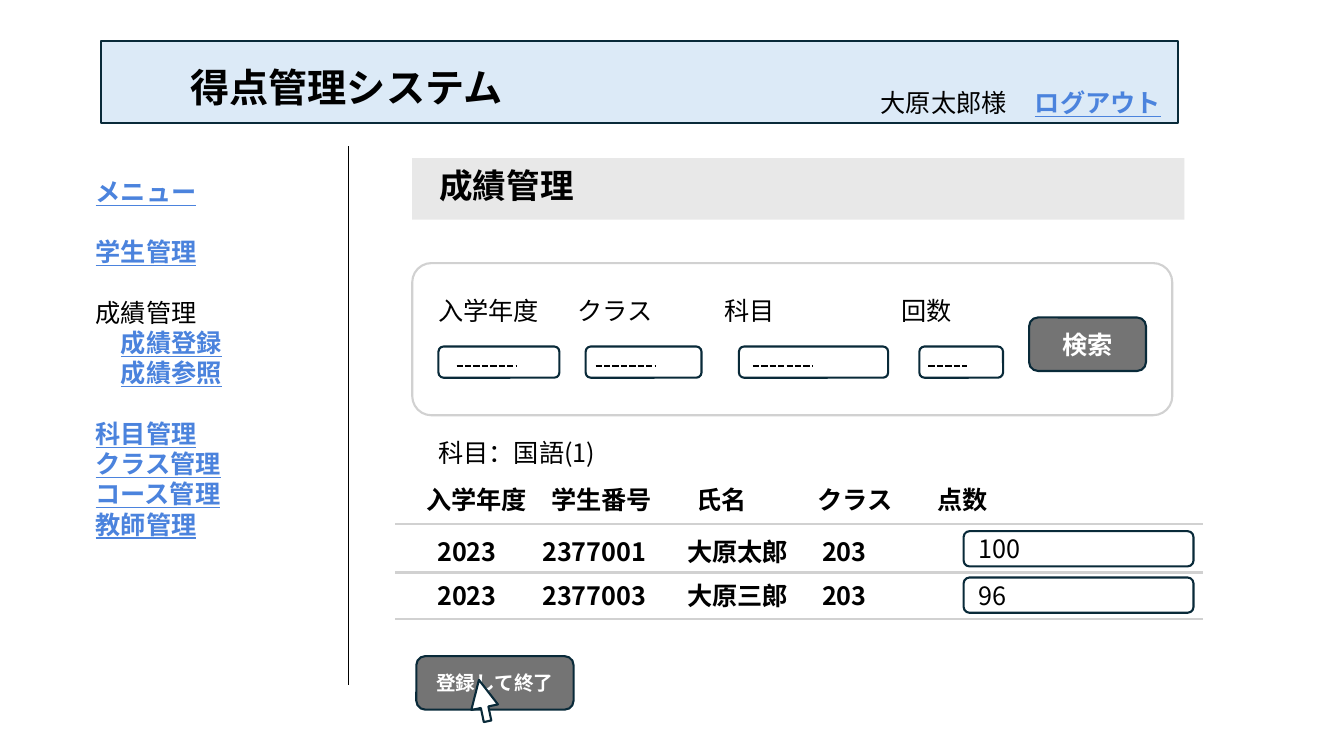
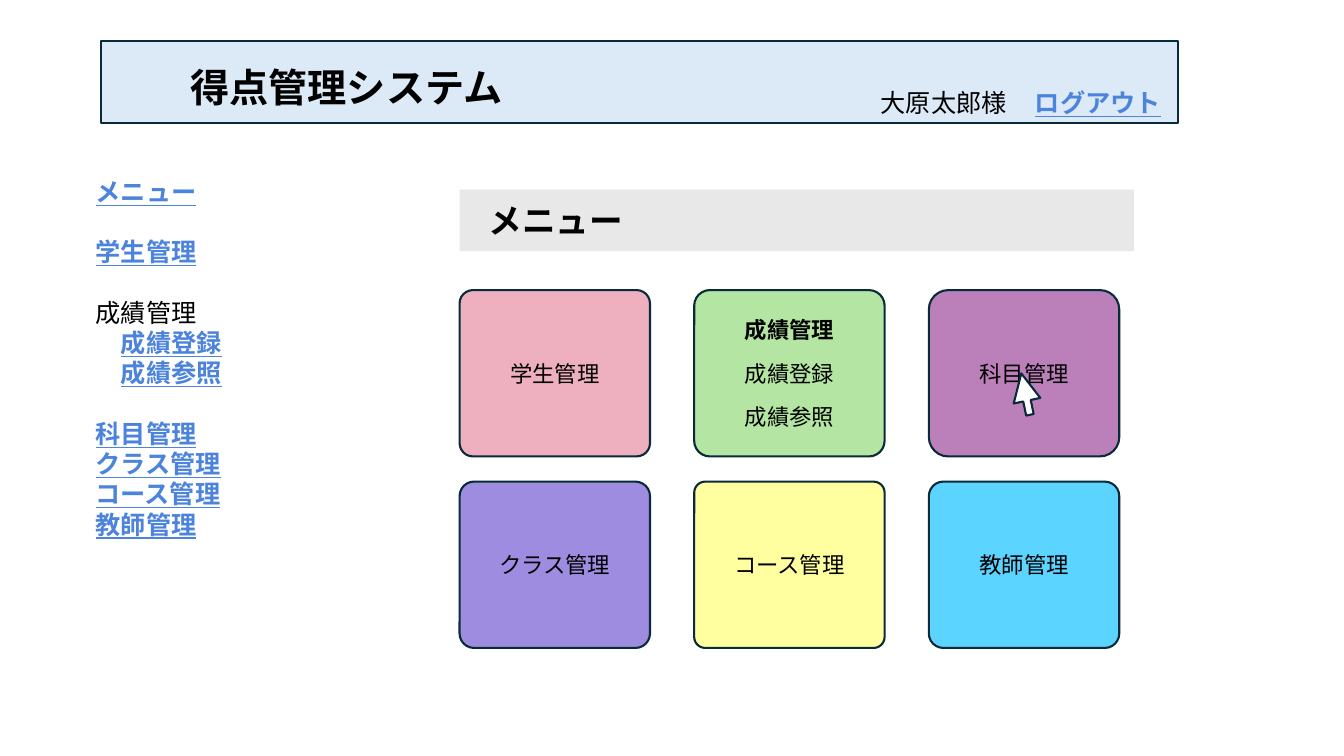
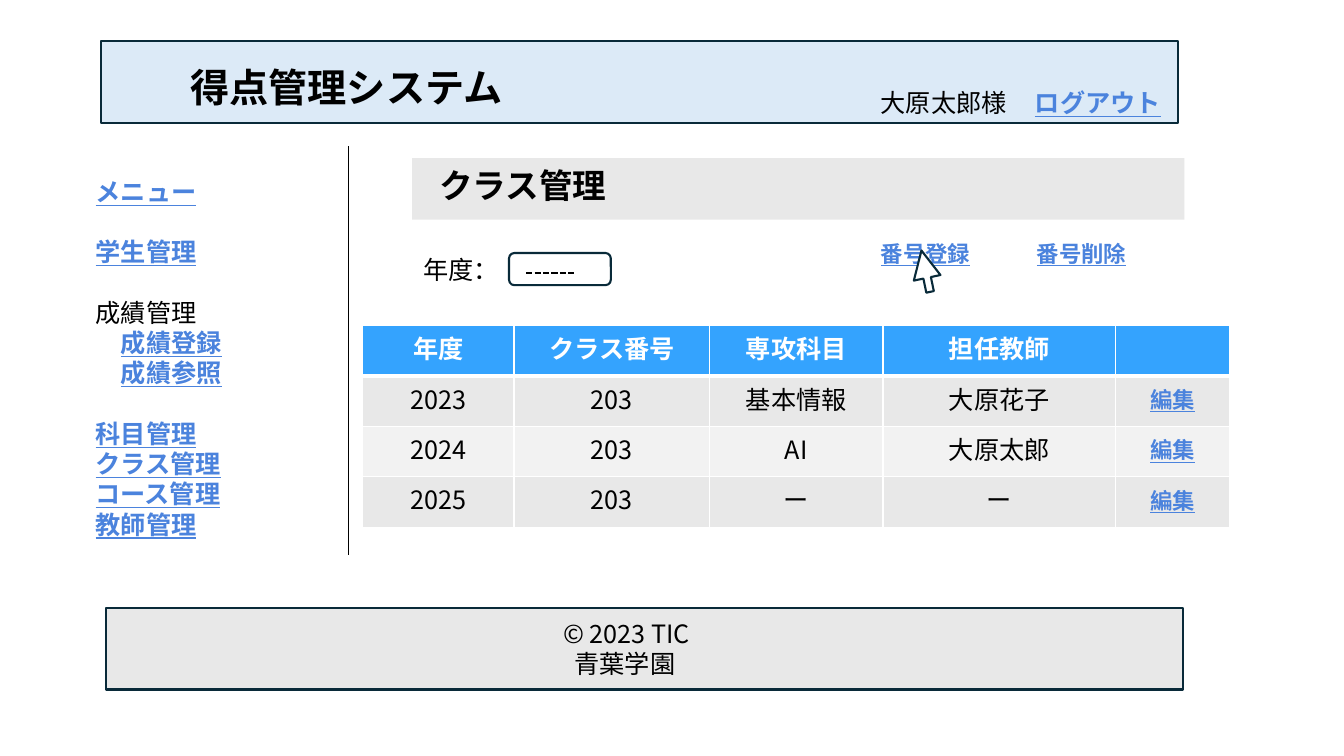
from dataclasses import dataclass

from lxml.etree import SubElement
from pptx import Presentation
from pptx.dml.color import RGBColor
from pptx.enum.dml import MSO_LINE_DASH_STYLE as Dash
from pptx.enum.shapes import MSO_CONNECTOR as Connector, MSO_SHAPE as Shape
from pptx.enum.text import MSO_ANCHOR as Anchor, PP_ALIGN as Align
from pptx.oxml.ns import qn
from pptx.util import Pt

FONT = "Noto Sans CJK JP"
COLORS = {
    "black": "000000", "white": "FFFFFF", "outline": "092A39", "link": "4B83DD",
    "banner": "DCEAF7", "gray": "E8E8E8", "pale": "F2F2F2", "rule": "D1D1D1",
    "button": "747474", "table_head": "34A3FE",
    "pink": "EEB0BF", "green": "B4E5A2", "plum": "BB7FBA",
    "violet": "9E8CE0", "yellow": "FFFF9F", "sky": "5BD4FF",
}
MENU = [  # text, indent, gap above in lines, is a link
    ("メニュー", 0, 0, True),
    ("学生管理", 0, 1, True),
    ("成績管理", 0, 1, False),
    ("成績登録", 18, 0, True),
    ("成績参照", 18, 0, True),
    ("科目管理", 0, 1, True),
    ("クラス管理", 0, 0, True),
    ("コース管理", 0, 0, True),
    ("教師管理", 0, 0, True),
]


@dataclass
class Box:
    left: float
    top: float
    width: float
    height: float

    def inner(self, dx, dy, width, height):
        """Box whose corner is offset from this box's corner."""
        return Box(self.left + dx, self.top + dy, width, height)

    def lengths(self):
        return [Pt(v) for v in (self.left, self.top, self.width, self.height)]


BANNER = Box(72, 29.5, 769.7, 58.3)
SIDEBAR = Box(61.2, 122.4, 174.2, 269.3)
HEADING = Box(294.5, 113, 551.5, 43.9)


def rgb(name):
    return RGBColor.from_string(COLORS[name])


def write(para, text, size=18, color="black", bold=False, underline=False,
          align=Align.LEFT, indent=0, before=0, tabs=()):
    props = para._p.get_or_add_pPr()
    if indent:
        props.set("marL", str(Pt(indent)))
    if tabs:
        stops = SubElement(props, qn("a:tabLst"))
        for stop in tabs:
            SubElement(stops, qn("a:tab"), pos=str(Pt(stop)), algn="l")
    para.alignment = align
    para.line_spacing = Pt(size * 1.2)
    if before:
        para.space_before = Pt(before)
    span = para.add_run()
    span.text = text
    font = span.font
    font.size, font.bold, font.underline = Pt(size), bold, underline
    font.color.rgb = rgb(color)
    font.name = FONT
    SubElement(span._r.get_or_add_rPr(), qn("a:ea"), typeface=FONT)


def prepare_frame(shape, left_margin, anchor):
    frame = shape.text_frame
    frame.word_wrap = True
    frame.margin_left, frame.margin_right = Pt(left_margin), 0
    frame.vertical_anchor = anchor
    return frame


def add_text(page, box, lines, **style):
    """Text box with one paragraph for each (text, own style) pair."""
    frame = prepare_frame(page.shapes.add_textbox(*box.lengths()), 7.2, Anchor.TOP)
    for index, (text, own) in enumerate(lines):
        para = frame.add_paragraph() if index else frame.paragraphs[0]
        write(para, text, **{**style, **own})


def add_label(page, box, text, **style):
    add_text(page, box, [(text, {})], **style)


def add_block(page, box, kind=Shape.RECTANGLE, fill=None, line=None, adjust=()):
    block = page.shapes.add_shape(kind, *box.lengths())
    block.shadow.inherit = False
    for index, value in enumerate(adjust):
        block.adjustments[index] = value
    if fill:
        block.fill.solid()
        block.fill.fore_color.rgb = rgb(fill)
    else:
        block.fill.background()
    if line:
        block.line.color.rgb = rgb(line)
        block.line.width = Pt(1.5)
    else:
        block.line.fill.background()
    return block


def add_line(page, start, end, color="black", width=1.5, dash=None):
    points = [Pt(v) for v in (*start, *end)]
    line = page.shapes.add_connector(Connector.STRAIGHT, *points)
    line.line.color.rgb = rgb(color)
    line.line.width = Pt(width)
    if dash:
        line.line.dash_style = dash
    SubElement(line._element.spPr, qn("a:effectLst"))


def add_banner(page, box):
    add_block(page, box, fill="banner", line="outline")
    add_label(page, box.inner(56.9, 12.3, 400, 41), "得点管理システム", size=28, bold=True)
    add_label(page, box.inner(550, 29.5, 104.4, 28.8), "大原太郎様")
    add_label(page, box.inner(660.2, 29.5, 104.4, 28.8), "ログアウト",
              color="link", bold=True, underline=True)


def add_sidebar(page, box):
    lines = [(text, dict(indent=indent, before=gap * 21.6, bold=is_link,
                         underline=is_link, color="link" if is_link else "black"))
             for text, indent, gap, is_link in MENU]
    add_text(page, box, lines)


def add_heading(page, box, text, dx=12.2, dy=1.4):
    add_block(page, box, fill="gray")
    add_label(page, box.inner(dx, dy, 380, 36), text, size=24, bold=True)


def add_divider(page, bottom):
    add_line(page, (249.1, 104.4), (249.1, bottom), width=1)


def add_field(page, box, dash_inset, dash_length, fill=None):
    """Empty entry field with a dashed placeholder."""
    add_block(page, box, Shape.ROUNDED_RECTANGLE, fill, "outline")
    left, top = box.left + dash_inset, box.top + 14
    add_line(page, (left, top), (left + dash_length, top), dash=Dash.SQUARE_DOT)


def add_button(page, box, text, size):
    button = add_block(page, box, Shape.ROUNDED_RECTANGLE, "button", "outline")
    frame = prepare_frame(button, 0, Anchor.MIDDLE)
    write(frame.paragraphs[0], text, size, "white", bold=True, align=Align.CENTER)


def add_cursor(page, left, top):
    cursor = add_block(page, Box(left, top, 19.4, 30.2), Shape.UP_ARROW,
                       "white", "outline", (0.283, 1.028))
    cursor.rotation = 348.2


def add_filter(page, box):
    add_block(page, box, Shape.ROUNDED_RECTANGLE, line="rule", adjust=(0.126,))
    add_label(page, box.inner(11.5, 19.4, 410.4, 28.8),
              "入学年度\tクラス\t科目\t回数", tabs=(99.3, 204.3, 330.7))
    fields = [(18.7, 86.4, 13, 42.5), (123.8, 82.8, 7.2, 43.2),
              (233.3, 106.6, 10, 43.2), (362.2, 59.8, 6.5, 27.4)]
    for dx, width, dash_inset, dash_length in fields:
        add_field(page, box.inner(dx, 59.6, width, 22.3), dash_inset, dash_length)
    add_button(page, box.inner(440.6, 38.9, 83.5, 38.2), "検索", 18)


def add_score_list(page, box):
    """Heading row and student rows, each with a score field and a rule."""
    add_label(page, box.inner(15.1, 0, 460, 28.8), "入学年度\t学生番号\t氏名\tクラス\t点数",
              bold=True, tabs=(89.3, 192.9, 279.3, 365))
    for offset in (31.7, 66.2, 99.4):
        top = box.top + offset
        add_line(page, (box.left, top), (box.left + box.width, top), "rule")
    rows = [("2023\t2377001\t大原太郎\t203", "100", 36.7, 36.7),
            ("2023\t2377003\t大原三郎\t203", "96", 68.4, 69.8)]
    for text, score, text_top, field_top in rows:
        add_label(page, box.inner(23, text_top, 348.5, 28.8), text,
                  bold=True, tabs=(75, 178.5, 275))
        field = add_block(page, box.inner(406.1, field_top, 164.2, 25.2),
                          Shape.ROUNDED_RECTANGLE, line="outline")
        frame = prepare_frame(field, 9.4, Anchor.MIDDLE)
        write(frame.paragraphs[0], score)


def add_tiles(page, box):
    tiles = [
        ("pink", 0.08, ["学生管理"]),
        ("green", 0.094, ["成績管理", "成績登録", "成績参照"]),
        ("plum", 0.116, ["科目管理"]),
        ("violet", 0.087, ["クラス管理"]),
        ("yellow", 0.066, ["コース管理"]),
        ("sky", 0.087, ["教師管理"]),
    ]
    for index, (fill, corner, lines) in enumerate(tiles):
        row, column = divmod(index, 3)
        tile = add_block(page, box.inner(column * 167.6, row * 136.8, 136, 118.8),
                         Shape.ROUNDED_RECTANGLE, fill, "outline", (corner,))
        frame = prepare_frame(tile, 0, Anchor.MIDDLE)
        for number, text in enumerate(lines):
            para = frame.add_paragraph() if number else frame.paragraphs[0]
            write(para, text, 16, align=Align.CENTER, before=12 if number else 0,
                  bold=len(lines) > 1 and number == 0)


def set_borders(cell, top, bottom):
    props = cell._tc.get_or_add_tcPr()
    for tag, width in (("lnL", 1), ("lnR", 1), ("lnT", top), ("lnB", bottom)):
        edge = SubElement(props, qn(f"a:{tag}"), w=str(Pt(width)))
        fill = SubElement(edge, qn("a:solidFill"))
        SubElement(fill, qn("a:srgbClr"), val=COLORS["white"])


def add_class_table(page, box):
    rows = [
        ["年度", "クラス番号", "専攻科目", "担任教師", ""],
        ["2023", "203", "基本情報", "大原花子", "編集"],
        ["2024", "203", "AI", "大原太郎", "編集"],
        ["2025", "203", "ー", "ー", "編集"],
    ]
    table = page.shapes.add_table(len(rows), len(rows[0]), *box.lengths()).table
    for column, width in zip(table.columns, (108, 139.7, 123.8, 166.3, 81.4)):
        column.width = Pt(width)
    link = dict(size=16, color="link", bold=True, underline=True)
    for r, texts in enumerate(rows):
        table.rows[r].height = Pt(box.height / len(rows))
        for c, text in enumerate(texts):
            cell = table.cell(r, c)
            set_borders(cell, 3 if r == 1 else 1, 3 if r == 0 else 1)
            cell.fill.solid()
            cell.fill.fore_color.rgb = rgb(
                "table_head" if r == 0 else "gray" if r % 2 else "pale")
            cell.vertical_anchor = Anchor.MIDDLE
            if text:
                head = dict(color="white", bold=True) if r == 0 else {}
                style = link if r and c == 4 else head
                write(cell.text_frame.paragraphs[0], text, align=Align.CENTER, **style)


def add_footer(page, box):
    add_block(page, box, fill="gray", line="outline")
    add_text(page, box.inner(319.7, 3.6, 146.9, 51.1),
             [("© 2023 TIC", {}), ("青葉学園", dict(indent=8))])


def start_page(deck):
    page = deck.slides.add_slide(deck.slide_layouts[6])
    add_banner(page, BANNER)
    add_sidebar(page, SIDEBAR)
    return page


def build_score_page(deck):
    page = start_page(deck)
    add_divider(page, 489.6)
    add_heading(page, HEADING, "成績管理")
    add_filter(page, Box(294.5, 187.9, 542.9, 108.7))
    add_label(page, Box(306, 308.9, 194.4, 28.8), "科目：国語(1)")
    add_score_list(page, Box(282.2, 342.7, 577.4, 99.4))
    add_button(page, Box(297.4, 468.7, 112.3, 38.2), "登録して終了", 14)
    add_cursor(page, 335.5, 485.3)


def build_menu_page(deck):
    page = start_page(deck)
    add_heading(page, Box(328.3, 135.4, 481.7, 43.9), "メニュー", 13.7, 3.6)
    add_tiles(page, Box(328.3, 207.2, 471.2, 255.6))
    add_cursor(page, 722.9, 266.4)


def build_class_page(deck):
    page = start_page(deck)
    add_divider(page, 396.7)
    add_heading(page, HEADING, "クラス管理")
    add_label(page, Box(295.2, 177.8, 90, 28.8), "年度：")
    add_field(page, Box(363.6, 180.7, 72.7, 23), 12.2, 36, "white")
    for index, text in enumerate(("番号登録", "番号削除")):
        add_label(page, Box(622.1 + index * 111.4, 167.8, 90, 26.6), text,
                  size=16, color="link", bold=True, underline=True)
    add_class_table(page, Box(259.2, 232.6, 619.2, 144))
    add_cursor(page, 651.6, 178.6)
    add_footer(page, Box(75.6, 434.2, 769.7, 58.3))


def main():
    deck = Presentation()
    deck.slide_width, deck.slide_height = Pt(960), Pt(540)
    build_score_page(deck)
    build_menu_page(deck)
    build_class_page(deck)
    deck.save("out.pptx")


if __name__ == "__main__":
    main()
